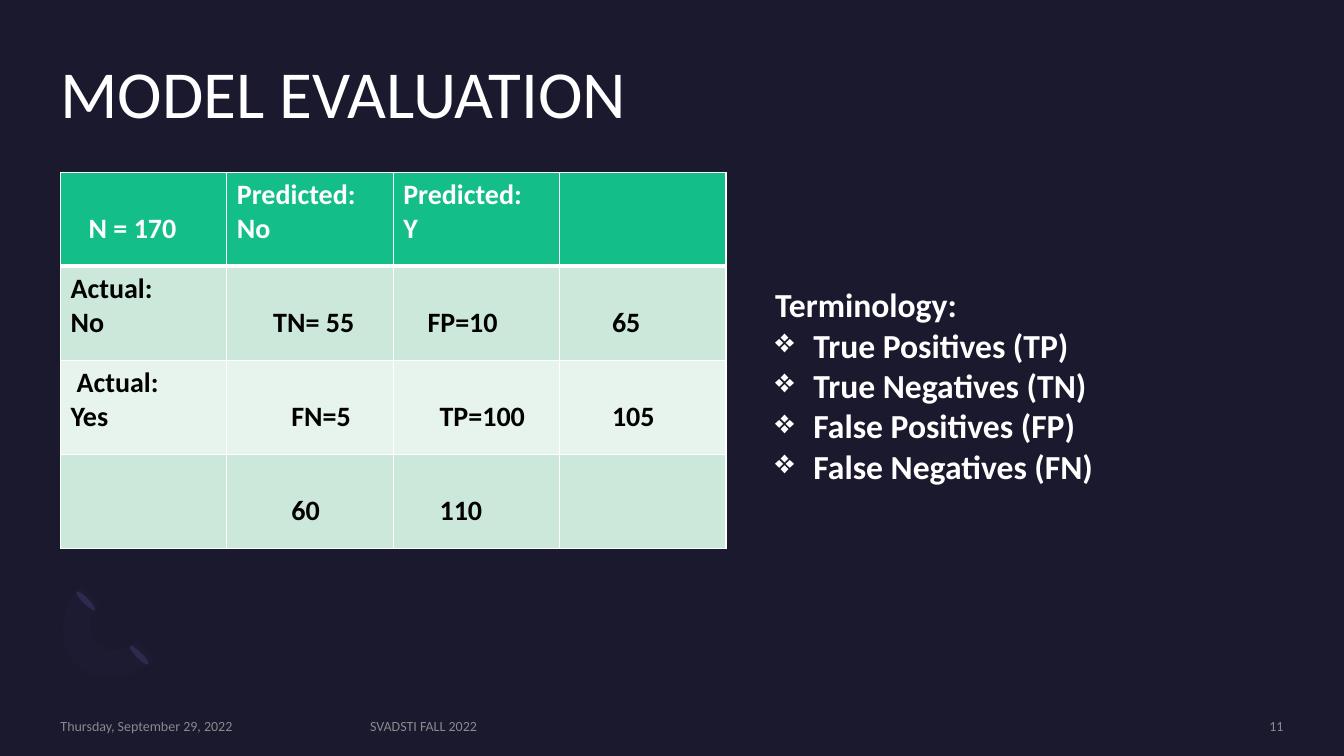
from lxml import etree
from pptx import Presentation
from pptx.dml.color import RGBColor
from pptx.enum.shapes import MSO_SHAPE
from pptx.enum.text import MSO_ANCHOR, PP_ALIGN
from pptx.oxml.ns import qn
from pptx.util import Inches, Pt

OVAL = MSO_SHAPE.OVAL
TOP, MIDDLE = MSO_ANCHOR.TOP, MSO_ANCHOR.MIDDLE
LEFT, RIGHT = PP_ALIGN.LEFT, PP_ALIGN.RIGHT
COLORS = {
    "night": "1B192E", "white": "FFFFFF", "black": "000000", "gray": "A6A6A6",
    "green": "13BE89", "mint": "CCE8DA", "pale": "E7F4ED",
    "plum": "2C284A", "violet": "7771B2",
}
SPACE = 0.06
LINE = 0.34
GRID = [
    [(3, ["N = 170"]), (0, ["Predicted:", "No"]), (0, ["Predicted:", "Y"]), None],
    [(0, ["Actual:", "No"]), (6, ["TN= 55"]), (4, ["FP=10"]), (7, ["65"])],
    [(1, ["Actual:", "Yes"]), (9, ["FN=5"]), (6, ["TP=100"]), (7, ["105"])],
    [None, (9, ["60"]), (6, ["110"]), None],
]
ROW_FILLS = ["green", "mint", "pale", "mint"]
TERMS = ["True Positives (TP)", "True Negatives (TN)",
         "False Positives (FP)", "False Negatives (FN)"]
ARC = [
    ((0.76, 6.59), (0.56, 6.39), (0.58, 6.05), (0.81, 5.82)),
    ((0.99, 6), (0.87, 6.11), (0.86, 6.29), (0.96, 6.38)),
    ((0.96, 6.38), (1.06, 6.48), (1.23, 6.47), (1.35, 6.36)),
    ((1.52, 6.54), (1.3, 6.76), (0.95, 6.79), (0.76, 6.59)),
]


def curve(a, b, c, d, steps=12):
    for i in range(steps + 1):
        t = i / steps
        u = 1 - t
        yield tuple(u**3 * p + 3 * u * u * t * q + 3 * u * t * t * r + t**3 * s
                    for p, q, r, s in zip(a, b, c, d))


def fade(owner, percent):
    color = owner.find(".//" + qn("a:srgbClr"))
    etree.SubElement(color, qn("a:alpha"), val=str(percent * 1000))


class Deck:
    font = "Calibri"

    def __init__(self):
        self.show = Presentation()
        self.show.slide_width = Inches(13.33)
        self.show.slide_height = Inches(7.5)
        self.slide = self.show.slides.add_slide(self.show.slide_layouts[6])
        self.paint(self.slide.background.fill, "night")

    def paint(self, fill, color):
        fill.solid()
        fill.fore_color.rgb = RGBColor.from_string(COLORS[color])

    def plain(self, shape, color):
        self.paint(shape.fill, color)
        shape.line.fill.background()
        shape.shadow.inherit = False

    def text(self, para, words, size, color, bold=False):
        run = para.add_run()
        run.text = words
        run.font.name = self.font
        run.font.size = Pt(size)
        run.font.bold = bold
        run.font.color.rgb = RGBColor.from_string(COLORS[color])
        return run

    def box(self, left, top, width, height, anchor=TOP, inset=True):
        frame = self.slide.shapes.add_textbox(
            Inches(left), Inches(top), Inches(width), Inches(height)).text_frame
        frame.word_wrap = True
        frame.vertical_anchor = anchor
        if not inset:
            frame.margin_left = frame.margin_right = 0
            frame.margin_top = frame.margin_bottom = 0
        return frame

    def title(self, words):
        para = self.box(0.6, 0.6, 12.13, 0.94, inset=False).paragraphs[0]
        para.line_spacing = 0.9
        self.text(para, words, 48, "white")

    def footer(self, words, left, width, align=LEFT):
        para = self.box(left, 7.12, width, 0.17, MIDDLE, False).paragraphs[0]
        para.alignment = align
        fade(self.text(para, words, 10, "gray").font._element, 80)

    def oval(self, left, top):
        shape = self.slide.shapes.add_shape(
            OVAL, Inches(left), Inches(top), Inches(0.06), Inches(0.26))
        shape.rotation = 135
        self.plain(shape, "plum")

    def arc(self, parts, percent):
        points = [(Inches(x), Inches(y)) for part in parts for x, y in curve(*part)]
        outline = self.slide.shapes.build_freeform(*points[0])
        outline.add_line_segments(points[1:], close=True)
        shape = outline.convert_to_shape()
        self.plain(shape, "violet")
        fade(shape._element.spPr, percent)

    def border(self, cell, head):
        props = cell._tc.get_or_add_tcPr()
        for i, side in enumerate(("lnL", "lnR", "lnT", "lnB")):
            width = 3 if head and side == "lnB" else 1
            line = etree.Element(qn("a:" + side), w=str(Pt(width)))
            fill = etree.SubElement(line, qn("a:solidFill"))
            etree.SubElement(fill, qn("a:srgbClr"), val=COLORS["white"])
            props.insert(i, line)

    def cell(self, cell, entry, color, head):
        self.paint(cell.fill, color)
        self.border(cell, head)
        if not entry:
            return
        spaces, lines = entry
        cell.margin_top = Inches(0.05 + LINE * (2 - len(lines)))
        frame = cell.text_frame
        for i, words in enumerate(lines):
            para = frame.add_paragraph() if i else frame.paragraphs[0]
            if not i:
                para._p.get_or_add_pPr().set("marL", str(Inches(spaces * SPACE)))
            self.text(para, words, 20, "white" if head else "black", True)

    def table(self, grid, fills):
        table = self.slide.shapes.add_table(
            len(grid), len(grid[0]), Inches(0.6), Inches(1.71),
            Inches(6.6), Inches(3.73)).table
        table.first_row = table.horz_banding = False
        for r, row in enumerate(grid):
            for c, entry in enumerate(row):
                self.cell(table.cell(r, c), entry, fills[r], r == 0)

    def terms(self, head, items):
        frame = self.box(7.59, 2.77, 5.53, 2.12)
        self.text(frame.paragraphs[0], head, 24, "white", True)
        for item in items:
            para = frame.add_paragraph()
            props = para._p.get_or_add_pPr()
            props.set("marL", str(Inches(0.38)))
            props.set("indent", str(-Inches(0.38)))
            etree.SubElement(props, qn("a:buChar"), char="❖")
            self.text(para, item, 24, "white", True)


def main():
    deck = Deck()
    deck.oval(1.35, 6.37)
    deck.oval(0.82, 5.83)
    deck.arc(ARC, 3)
    deck.title("MODEL EVALUATION")
    deck.footer("Thursday, September 29, 2022", 0.6, 2.88)
    deck.footer("SVADSTI FALL 2022", 3.67, 6.98)
    deck.footer("11", 10.88, 1.85, RIGHT)
    deck.table(GRID, ROW_FILLS)
    deck.terms("Terminology:", TERMS)
    deck.show.save("out.pptx")


if __name__ == "__main__":
    main()
